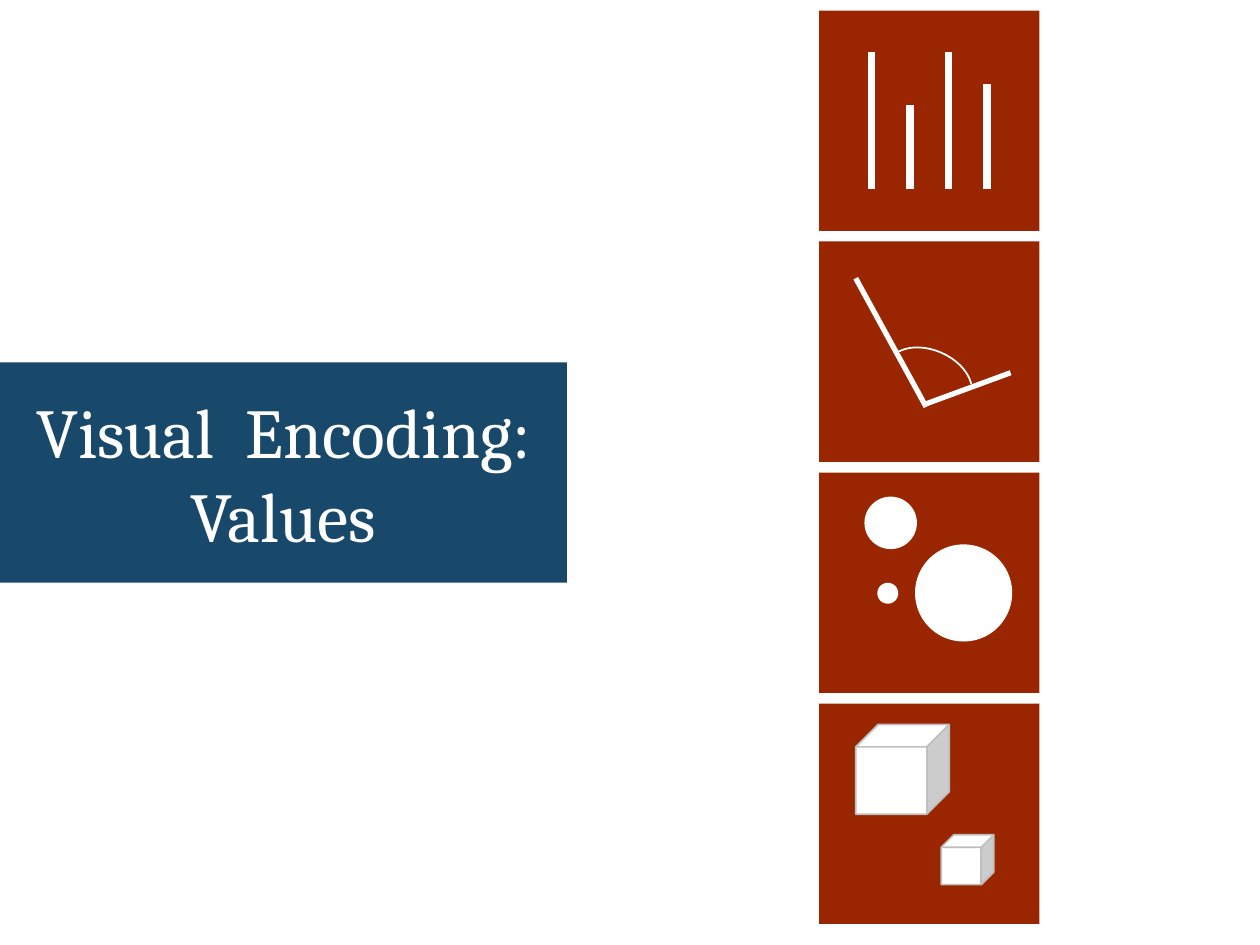
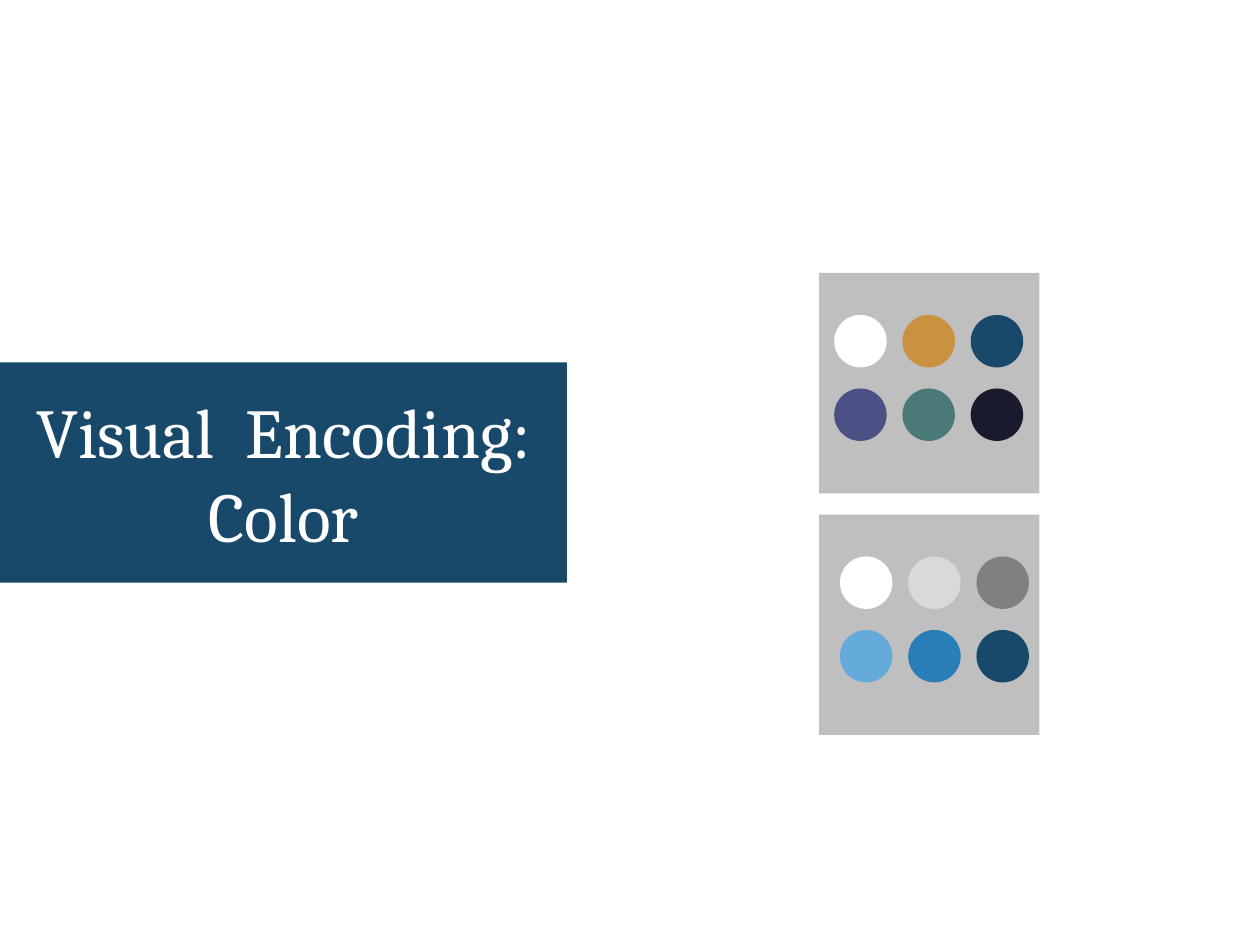
from lxml import etree
from pptx import Presentation
from pptx import util as u
from pptx.dml.color import RGBColor
from pptx.enum import shapes, text
from pptx.oxml.ns import qn

# The slide is a grid of 120 columns by 90 rows, with square cells
COLUMNS, ROWS = 120, 90
SLIDE_WIDTH, SLIDE_HEIGHT = u.Inches(10), u.Inches(7.5)
CELL = SLIDE_WIDTH / COLUMNS
TILE = 21
TILE_LEFT = 78

COLOURS = {
    "white": "FFFFFF", "navy": "18496B", "rust": "992600", "silver": "BFBFBF",
    "ochre": "CA913E", "indigo": "4B5185", "teal": "4B7978", "ink": "191B2C",
    "pale grey": "D9D9D9", "grey": "808080", "sky": "64ABDC", "blue": "297EB8",
}
TITLE_FONT = {"name": "Cambria", "size": u.Pt(40)}
WORD_GAP = 880  # extra width of the space in the title, in hundredths of a point

CATEGORY_COLOURS = ["white", "ochre", "navy", "indigo", "teal", "ink"]
SHADE_COLOURS = ["white", "pale grey", "grey", "sky", "blue", "navy"]


def cells(*lengths):
    return [u.Emu(round(length * CELL)) for length in lengths]


def colour(name):
    return RGBColor.from_string(COLOURS[name])


def add_figure(parent, kind, box, fill, outline=None):
    figure = parent.add_shape(kind, *cells(*box))
    figure.shadow.inherit = False
    figure.fill.solid()
    figure.fill.fore_color.rgb = colour(fill)
    if outline:
        figure.line.color.rgb = colour(outline)
        figure.line.width = u.Pt(1)
    else:
        figure.line.fill.background()
    return figure


def add_stroke(parent, start, end, width):
    stroke = parent.add_connector(shapes.MSO_CONNECTOR.STRAIGHT, *cells(*start, *end))
    stroke.line.color.rgb = colour("white")
    stroke.line.width = u.Pt(width)
    etree.SubElement(stroke._element.spPr, qn("a:effectLst"))


def add_circle(parent, left, top, size, fill="white"):
    add_figure(parent, shapes.MSO_SHAPE.OVAL, (left, top, size, size), fill)


def add_tile(parent, top, fill):
    add_figure(parent, shapes.MSO_SHAPE.RECTANGLE, (TILE_LEFT, top, TILE, TILE), fill)


def add_title_band(slide, topic):
    band = add_figure(slide.shapes, shapes.MSO_SHAPE.RECTANGLE,
                      (0, (ROWS - TILE) / 2, 54, TILE), "navy")
    frame = band.text_frame
    frame.word_wrap = True
    frame.vertical_anchor = text.MSO_ANCHOR.MIDDLE
    for index, words in enumerate([["Visual", " ", "Encoding:"], [topic]]):
        paragraph = frame.add_paragraph() if index else frame.paragraphs[0]
        paragraph.alignment = text.PP_ALIGN.CENTER
        for word in words:
            run = paragraph.add_run()
            run.text = word
            for key, value in TITLE_FONT.items():
                setattr(run.font, key, value)
            run.font.color.rgb = colour("white")
            if word == " ":
                run._r.get_or_add_rPr().set("spc", str(WORD_GAP))


# Symbols of the value encodings, placed from the tile's corner
def draw_lengths(parent, left, top):
    for index, bar_top in enumerate([4, 9, 4, 7]):
        x = left + 5 + index * 11 / 3
        add_stroke(parent, (x, top + bar_top), (x, top + 17), 4.5)


def draw_angle(parent, left, top):
    add_stroke(parent, (left + 3.5, top + 3.5), (left + 10.2, top + 15.75), 3)
    add_stroke(parent, (left + 18.25, top + 12.5), (left + 10.1, top + 15.5), 3)
    arc = add_figure(parent, shapes.MSO_SHAPE.ARC,
                     (left + 6.25, top + 10.35, 8.5, 5.75), "rust", "white")
    arc.rotation = 23.6
    arc.adjustments[0], arc.adjustments[1] = 119.44, 204.67


def draw_areas(parent, left, top):
    for x, y, size in [(4.33, 2.3, 5), (5.55, 10.5, 2), (9.15, 6.85, 9.25)]:
        add_circle(parent, left + x, top + y, size)


def draw_volumes(parent, left, top):
    for x, y, width, height in [(3.5, 2, 8.9, 8.55), (11.65, 12.5, 5, 4.75)]:
        add_figure(parent, shapes.MSO_SHAPE.CUBE,
                   (left + x, top + y, width, height), "white", "silver")


def add_palette(slide, top, indent, palette):
    add_tile(slide.shapes, top, "silver")
    for index, fill in enumerate(palette):
        row, column = divmod(index, 3)
        add_circle(slide.shapes, TILE_LEFT + indent + 6.5 * column,
                   top + 4 + 7 * row, 5, fill)


def main():
    deck = Presentation()
    deck.slide_width, deck.slide_height = SLIDE_WIDTH, SLIDE_HEIGHT
    blank = deck.slide_layouts[6]

    # Values: four tiles with a gap of one row
    values = deck.slides.add_slide(blank)
    add_title_band(values, "Values")
    for index, draw in enumerate([draw_lengths, draw_angle, draw_areas, draw_volumes]):
        top = 1 + index * (TILE + 1)
        symbol = values.shapes.add_group_shape().shapes
        add_tile(symbol, top, "rust")
        draw(symbol, TILE_LEFT, top)

    # Color: categories above, shades below
    color = deck.slides.add_slide(blank)
    add_title_band(color, "Color")
    add_palette(color, 26, 1.45, CATEGORY_COLOURS)
    add_palette(color, 49, 2, SHADE_COLOURS)

    deck.save("out.pptx")


if __name__ == "__main__":
    main()
